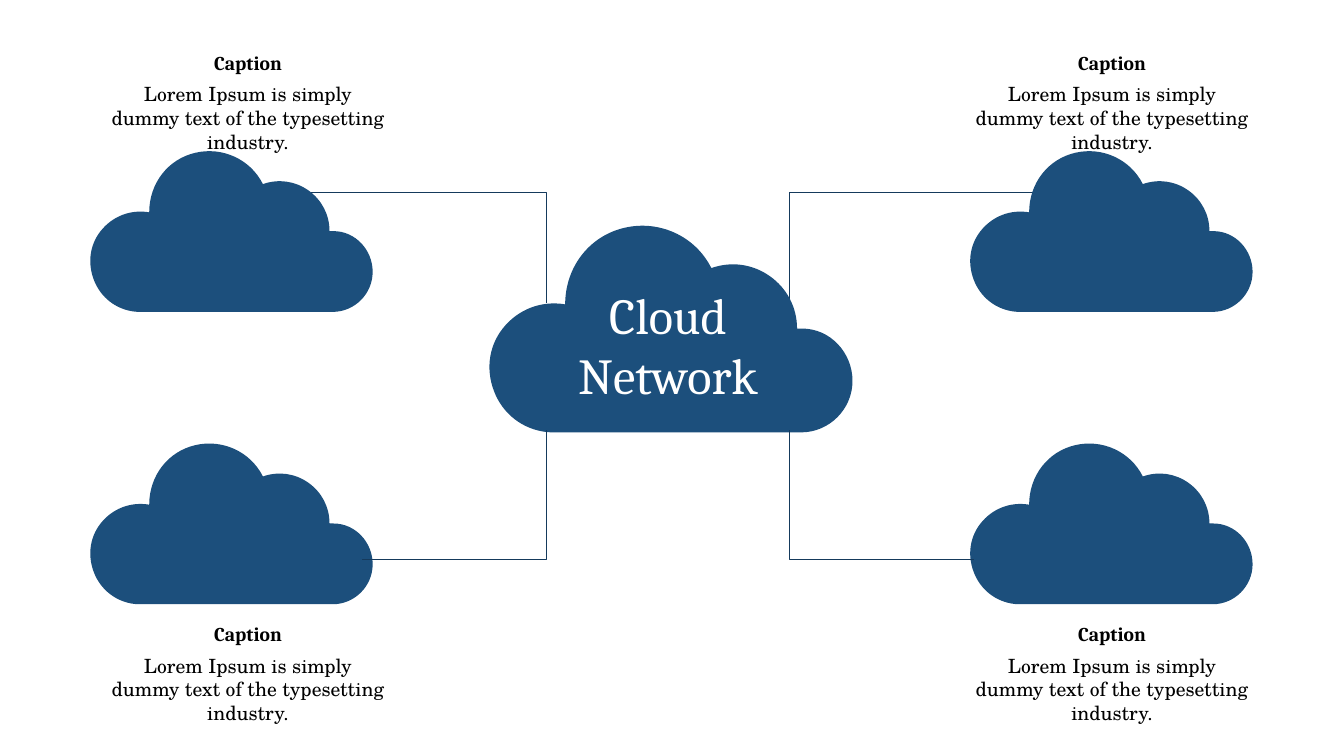
from dataclasses import dataclass

from lxml.etree import SubElement
from pptx import Presentation
from pptx.dml.color import RGBColor as RGB
from pptx.enum.text import MSO_ANCHOR as Anchor, MSO_AUTO_SIZE as AutoSize, PP_ALIGN as Align
from pptx.oxml.ns import qn
from pptx.util import Inches, Pt


@dataclass(frozen=True)
class Theme:
    cloud: RGB = RGB.from_string("1C4F7C")
    line: RGB = RGB.from_string("153A5C")
    text: RGB = RGB.from_string("000000")
    title: RGB = RGB.from_string("FFFFFF")
    head_font: str = "Cambria"
    body_font: str = "TeX Gyre Schola"
    title_size: Pt = Pt(36)
    text_size: Pt = Pt(14)
    line_width: Pt = Pt(1)


theme = Theme()
prs = Presentation()
prs.slide_width, prs.slide_height = Inches(13.33), Inches(7.5)
s = prs.slides.add_slide(prs.slide_layouts[5])

# The slide is a grid of 100 columns by 100 rows
COL, ROW = prs.slide_width / 100, prs.slide_height / 100

# Cloud outline on a field of its own units
CLOUD_W, CLOUD_H = 360, 205
CLOUD_OUTLINE = [
    ("moveTo", [(310, 102)]),
    ("cubicBezTo", [(308, 102), (307, 102), (305, 102)]),
    ("cubicBezTo", [(305, 81), (295, 62), (278, 50)]),
    ("cubicBezTo", [(261, 38), (240, 35), (220, 42)]),
    ("cubicBezTo", [(204, 10), (168, -6), (134, 2)]),
    ("cubicBezTo", [(99, 10), (75, 41), (75, 78)]),
    ("cubicBezTo", [(51, 74), (28, 83), (13, 102)]),
    ("cubicBezTo", [(-2, 121), (-4, 146), (6, 168)]),
    ("cubicBezTo", [(16, 190), (37, 204), (61, 205)]),
    ("lnTo", [(309, 205)]),
    ("cubicBezTo", [(337, 205), (360, 182), (360, 154)]),
    ("cubicBezTo", [(360, 126), (338, 102), (310, 102)]),
    ("close", []),
]


def add_cloud(col, row, cols):
    """Draw a cloud from its top left corner, as a box whose outline becomes curves."""
    builder = s.shapes.build_freeform(0, 0, scale=cols * COL / CLOUD_W)
    builder.add_line_segments([(CLOUD_W, 0), (CLOUD_W, CLOUD_H), (0, CLOUD_H)])
    sp = builder.convert_to_shape(round(col * COL), round(row * ROW))
    outline = next(sp._element.iter(qn("a:path")))
    for step in list(outline):
        outline.remove(step)
    for kind, points in CLOUD_OUTLINE:
        step = SubElement(outline, qn(f"a:{kind}"))
        for x, y in points:
            SubElement(step, qn("a:pt"), x=str(x), y=str(y))
    sp.shadow.inherit = False
    sp.fill.solid()
    sp.fill.fore_color.rgb = theme.cloud
    sp.line.fill.background()


def add_links(start_row, end_row, reach):
    """Draw a mirrored pair of elbows that leave the centre and run outwards."""
    for side in (1, -1):
        x = 49.7 + side * 9.04
        builder = s.shapes.build_freeform(round(x * COL), round(start_row * ROW))
        builder.add_line_segments([(round(c * COL), round(end_row * ROW))
                                   for c in (x, x + side * reach)], close=False)
        sp = builder.convert_to_shape()
        sp.shadow.inherit = False
        sp.fill.background()
        sp.line.color.rgb = theme.line
        sp.line.width = theme.line_width


add_links(40.13, 25.47, 18.23)
add_cloud(36.43, 29.87, 27)
for row in (58.67, 20):
    for col in (6.73, 72.2):
        add_cloud(col, row, 21)

caption = [
    ("Caption", theme.head_font, True, 0),
    ("Lorem Ipsum is simply dummy text of the typesetting industry.", theme.body_font, False, 6),
]
for row in (6.67, 82.27):
    for col in (8.05, 72.34):
        box = s.shapes.add_textbox(round(col * COL), round(row * ROW),
                                   round(20.8 * COL), round(10.53 * ROW))
        tf = box.text_frame
        tf.word_wrap = True
        tf.auto_size = AutoSize.SHAPE_TO_FIT_TEXT
        tf.margin_left = tf.margin_right = tf.margin_top = tf.margin_bottom = 0
        for i, (text, font, bold, before) in enumerate(caption):
            p = tf.add_paragraph() if i else tf.paragraphs[0]
            p.text = text
            p.alignment = Align.CENTER
            p.space_before = Pt(before)
            p.font.name, p.font.size, p.font.bold = font, theme.text_size, bold
            p.font.color.rgb = theme.text

add_links(56.93, 74, 13.73)

title = s.shapes.title
title.left, title.top = round(38.3 * COL), round(36.87 * ROW)
title.width, title.height = round(22.8 * COL), round(17.47 * ROW)
tf = title.text_frame
tf.word_wrap = True
tf.auto_size = AutoSize.SHAPE_TO_FIT_TEXT
tf.vertical_anchor = Anchor.TOP
p = tf.paragraphs[0]
p.text = "Cloud Network"
p.alignment = Align.CENTER
p.font.name, p.font.size = theme.head_font, theme.title_size
p.font.color.rgb = theme.title
# Bring the title in front of the central cloud
s.shapes._spTree.append(title._element)

prs.save("out.pptx")
